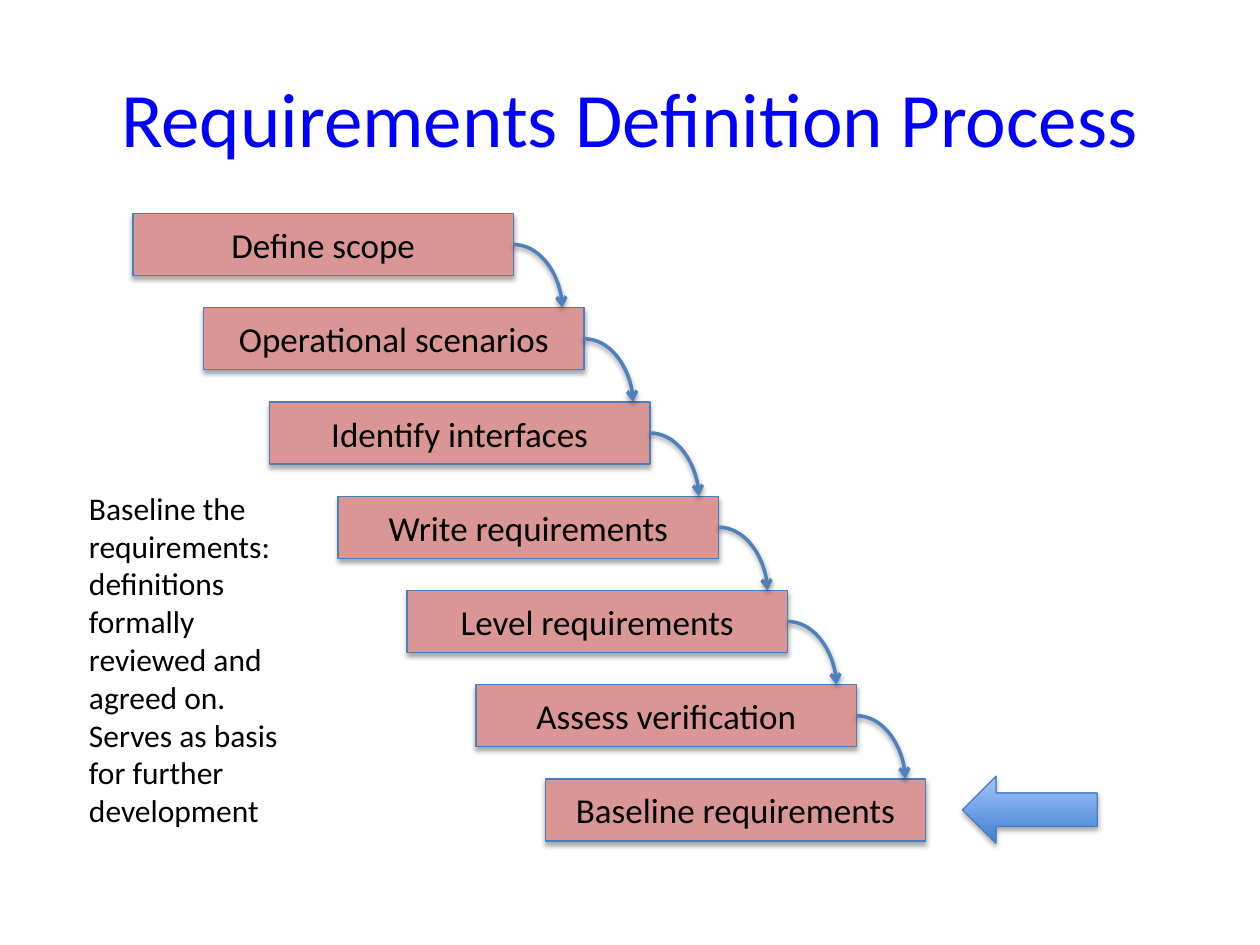
import pptx
import pptx.util
import pptx.dml.color
import pptx.enum.shapes
import pptx.enum.text
import pptx.oxml.ns
import lxml.etree

Pt = pptx.util.Pt
SHAPE = pptx.enum.shapes.MSO_SHAPE
ALIGN = pptx.enum.text.PP_ALIGN
ANCHOR = pptx.enum.text.MSO_ANCHOR
qn = pptx.oxml.ns.qn

COLORS = {
    "title": "0000FF", "text": "000000", "box": "D99694", "outline": "4B7EBC",
    "link": "4F81BD", "arrow_dark": "3F80CE", "arrow_light": "A4C4FF",
}


def rgb(name):
    return pptx.dml.color.RGBColor.from_string(COLORS[name])


class Deck:
    font = "Calibri"

    def __init__(self, width, height):
        self.prs = pptx.Presentation()
        self.prs.slide_width, self.prs.slide_height = Pt(width), Pt(height)

    def add_slide(self):
        self.slide = self.prs.slides.add_slide(self.prs.slide_layouts[5])

    def set_text(self, sp, text, size, color, align, anchor):
        tf = sp.text_frame
        tf.word_wrap = True
        tf.vertical_anchor = anchor
        p = tf.paragraphs[0]
        p.alignment = align
        r = p.add_run()
        r.text = text
        r.font.name = self.font
        r.font.size = Pt(size)
        r.font.color.rgb = rgb(color)

    def shadow(self, sp, dist, opacity):
        effects = lxml.etree.SubElement(sp._element.spPr, qn("a:effectLst"))
        outer = lxml.etree.SubElement(
            effects, qn("a:outerShdw"), blurRad=str(Pt(3.1)), dist=str(Pt(dist)),
            dir="5400000", rotWithShape="0")
        black = lxml.etree.SubElement(outer, qn("a:srgbClr"), val="000000")
        lxml.etree.SubElement(black, qn("a:alpha"), val=str(opacity * 1000))

    def title(self, text, x, y, w, h):
        sp = self.slide.shapes.title
        sp.left, sp.top, sp.width, sp.height = Pt(x), Pt(y), Pt(w), Pt(h)
        self.set_text(sp, text, 44, "title", ALIGN.CENTER, ANCHOR.MIDDLE)

    def shape(self, kind, x, y, w, h):
        sp = self.slide.shapes.add_shape(kind, Pt(x), Pt(y), Pt(w), Pt(h))
        sp.line.color.rgb = rgb("outline")
        sp.line.width = Pt(0.75)
        return sp

    def box(self, text, x, y, w, h):
        sp = self.shape(SHAPE.RECTANGLE, x, y, w, h)
        sp.fill.solid()
        sp.fill.fore_color.rgb = rgb("box")
        self.shadow(sp, 1.8, 35)
        self.set_text(sp, text, 20, "text", ALIGN.CENTER, ANCHOR.MIDDLE)

    def block_arrow(self, x, y, w, h):
        sp = self.shape(SHAPE.LEFT_ARROW, x, y, w, h)
        sp.fill.gradient()
        sp.fill.gradient_angle = 90
        for stop, name in zip(sp.fill.gradient_stops, ("arrow_dark", "arrow_light")):
            stop.color.rgb = rgb(name)
        sp.fill.gradient_stops[0].position = 0
        sp.fill.gradient_stops[1].position = 1
        self.shadow(sp, 1.8, 35)

    def curve(self, x1, y1, x2, y2):
        cxn = self.slide.shapes.add_connector(
            pptx.enum.shapes.MSO_CONNECTOR.CURVE, Pt(x1), Pt(y1), Pt(x2), Pt(y2))
        cxn._element.spPr.find(qn("a:prstGeom")).set("prst", "curvedConnector2")
        cxn.line.color.rgb = rgb("link")
        cxn.line.width = Pt(2)
        ln = cxn._element.spPr.find(qn("a:ln"))
        lxml.etree.SubElement(ln, qn("a:tailEnd"), type="arrow")
        self.shadow(cxn, 1.6, 38)

    def note(self, text, x, y, w, h):
        sp = self.slide.shapes.add_textbox(Pt(x), Pt(y), Pt(w), Pt(h))
        self.set_text(sp, text, 18, "text", ALIGN.LEFT, ANCHOR.TOP)


STEPS = [
    ("Define scope", 76), ("Operational scenarios", 116.4),
    ("Identify interfaces", 154), ("Write requirements", 193.2),
    ("Level requirements", 232.6), ("Assess verification", 272),
    ("Baseline requirements", 311.6),
]
TOP, PITCH = 122, 53.85
BOX_W, BOX_H = 217.4, 35.5
CURVE_W = 28


def main():
    deck = Deck(720, 540)
    deck.add_slide()
    deck.title("Requirements Definition Process", 36, 21.6, 648, 90)
    for i, (label, x) in enumerate(STEPS):
        deck.box(label, x, TOP + i * PITCH, BOX_W, BOX_H)
    for i, (label, x) in enumerate(STEPS[:-1]):
        y = TOP + i * PITCH
        right = x + BOX_W
        deck.curve(right, y + BOX_H / 2, right + CURVE_W, y + PITCH)
    deck.block_arrow(550, 443.5, 77, 38.4)
    deck.note("Baseline the requirements: definitions formally reviewed and agreed on. "
              "Serves as basis for further development", 43.8, 275.8, 128, 204)
    deck.prs.save("out.pptx")


if __name__ == "__main__":
    main()
